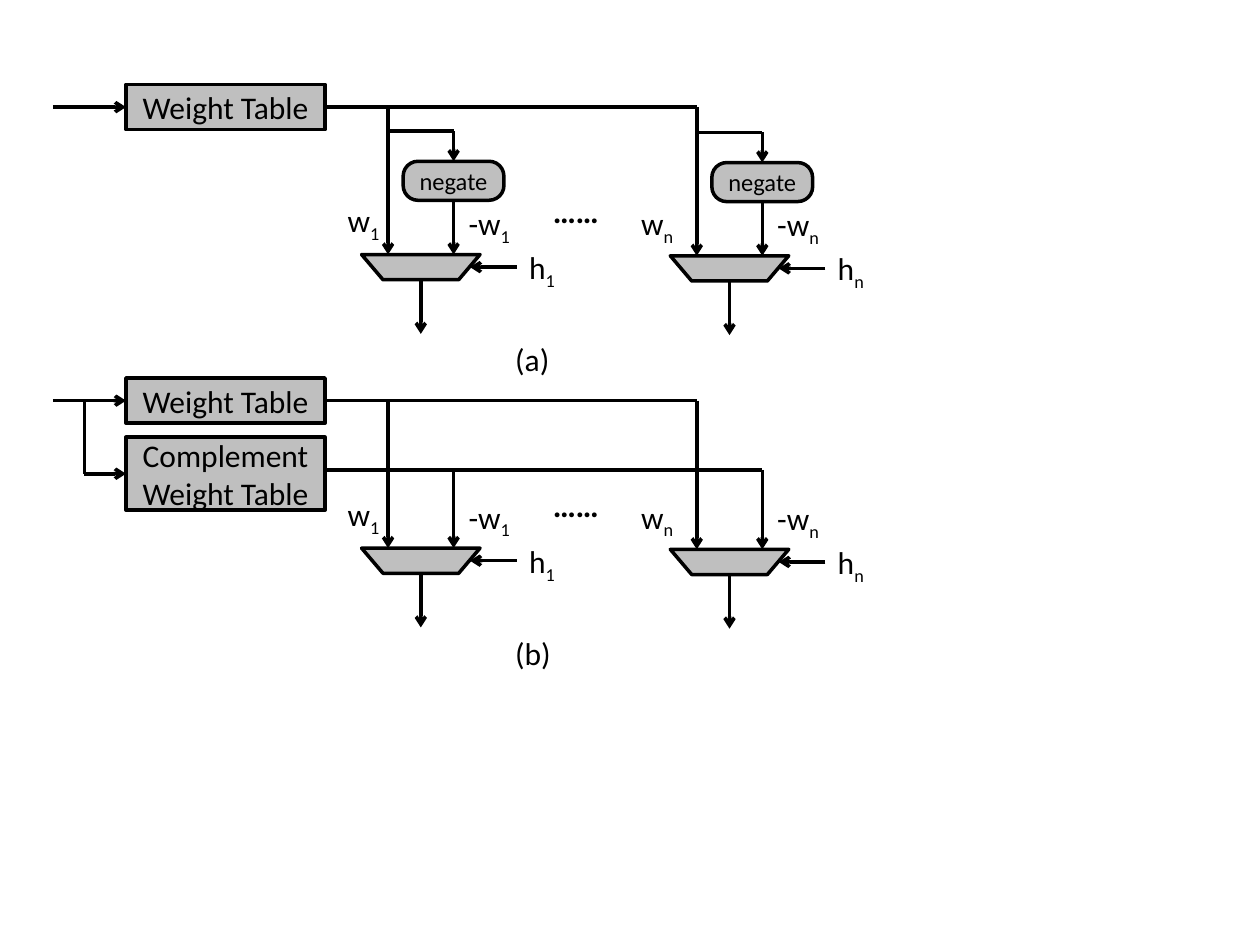
"""Builds a slide comparing two weight-selection circuits, (a) and (b)."""
import pptx
import pptx.dml.color
import pptx.enum.shapes
import pptx.enum.text
import pptx.oxml.ns
import pptx.util
import lxml.etree

PX = 9144  # EMU
THEME = {
    "ink": pptx.dml.color.RGBColor(0, 0, 0),
    "gray": pptx.dml.color.RGBColor(0xBF, 0xBF, 0xBF),
    "font": "Calibri",
    "body": 18,
    "small": 14,
    "dots": 32,
    "line": pptx.util.Pt(2),
}
SHAPES = pptx.enum.shapes.MSO_SHAPE
CENTER = pptx.enum.text.PP_ALIGN.CENTER
LEFT = pptx.enum.text.PP_ALIGN.LEFT
TOP_SITE, LEFT_SITE, BOTTOM_SITE, RIGHT_SITE = range(4)

deck = pptx.Presentation()
deck.slide_width, deck.slide_height = 1000 * PX, 750 * PX
page = deck.slides.add_slide(deck.slide_layouts[6])


def add_box(place, text="", sub="", kind=None, size="body", align=LEFT, bold=None):
    place = [length * PX for length in place]
    if kind is None:
        box = page.shapes.add_textbox(*place)
        frame_format = {"word_wrap": True,
                        "auto_size": pptx.enum.text.MSO_AUTO_SIZE.SHAPE_TO_FIT_TEXT}
    else:
        box = page.shapes.add_shape(kind, *place)
        box.shadow.inherit = False
        box.fill.solid()
        box.fill.fore_color.rgb = THEME["gray"]
        box.line.color.rgb = THEME["ink"]
        box.line.width = THEME["line"]
        frame_format = {"vertical_anchor": pptx.enum.text.MSO_ANCHOR.MIDDLE}
    for name, value in frame_format.items():
        setattr(box.text_frame, name, value)
    para = box.text_frame.paragraphs[0]
    para.alignment = align
    for words, lowered in ((text, size == "dots"), (sub, True)):
        if words:
            span = para.add_run()
            span.text = words
            font_format = {"name": THEME["font"], "size": pptx.util.Pt(THEME[size]), "bold": bold}
            for name, value in font_format.items():
                setattr(span.font, name, value)
            span.font.color.rgb = THEME["ink"]
            if lowered:
                span._r.get_or_add_rPr().set("baseline", "-25000")
    return box


def add_wire(x1, y1, x2, y2, arrow=True, start=None, end=None):
    straight = pptx.enum.shapes.MSO_CONNECTOR.STRAIGHT
    wire = page.shapes.add_connector(straight, x1 * PX, y1 * PX, x2 * PX, y2 * PX)
    wire.line.color.rgb = THEME["ink"]
    wire.line.width = THEME["line"]
    if arrow:
        line = wire.line._get_or_add_ln()
        lxml.etree.SubElement(line, pptx.oxml.ns.qn("a:tailEnd"), type="arrow")
    lxml.etree.SubElement(wire._element.spPr, pptx.oxml.ns.qn("a:effectLst"))
    if start:
        wire.begin_connect(*start)
    if end:
        wire.end_connect(*end)


for caption, top in (("(a)", 0), ("(b)", 233)):
    has_negate = caption == "(a)"
    bus = top + 85
    table = add_box((100, top + 67, 158, 36), "Weight Table", kind=SHAPES.RECTANGLE, align=CENTER)
    add_wire(42, bus, 100, bus, end=(table, LEFT_SITE))
    add_wire(258, bus, 553, bus, arrow=False, start=(table, RIGHT_SITE))

    for index, lane, label_x, label_y in (("1", 0, 266, 155), ("n", 1, 499, 157)):
        x, y = lane * 245, top + lane
        add_wire(308 + x, bus, 308 + x, y + 202)
        if has_negate:
            negate = add_box((320 + x, y + 128, 80, 31), "negate", size="small",
                             kind=SHAPES.ROUNDED_RECTANGLE, align=CENTER)
            negate.adjustments[0] = 0.38
            for side in ("left", "right", "top", "bottom"):
                setattr(negate.text_frame, "margin_" + side, 5 * PX)
            add_wire(308 + x, y + 104, 360 + x, y + 104, arrow=False)
            add_wire(360 + x, y + 104, 360 + x, y + 128, end=(negate, TOP_SITE))
            add_wire(360 + x, y + 159, 360 + x, y + 202, start=(negate, BOTTOM_SITE))
        else:
            add_wire(360 + x, 373, 360 + x, y + 202)
        selector = add_box((287 + x, y + 202, 94, 20), kind=SHAPES.TRAPEZOID)
        selector.rotation = 180
        selector.adjustments[0] = 0.85
        add_wire(410 + x, y + 212, 373 + x, y + 212)
        add_wire(334 + x, y + 222, 334 + x, y + 265)
        add_box((label_x, top + label_y, 55, 40), "w", index)
        add_box((362 + x, y + 157, 55, 40), "-w", index)
        add_box((410 + x, y + 192, 55, 40), "h", index)

    add_box((402, top + 117, 110, 46), "……", size="dots", align=CENTER, bold=True)
    add_box((399, top + 265, 55, 40), caption)

complement = add_box((100, 347, 158, 58), "Complement Weight Table",
                     kind=SHAPES.RECTANGLE, align=CENTER)
add_wire(67, 376, 67, 318, arrow=False)
add_wire(67, 376, 100, 376, end=(complement, LEFT_SITE))
add_wire(258, 373, 605, 373, arrow=False)

deck.save("out.pptx")
